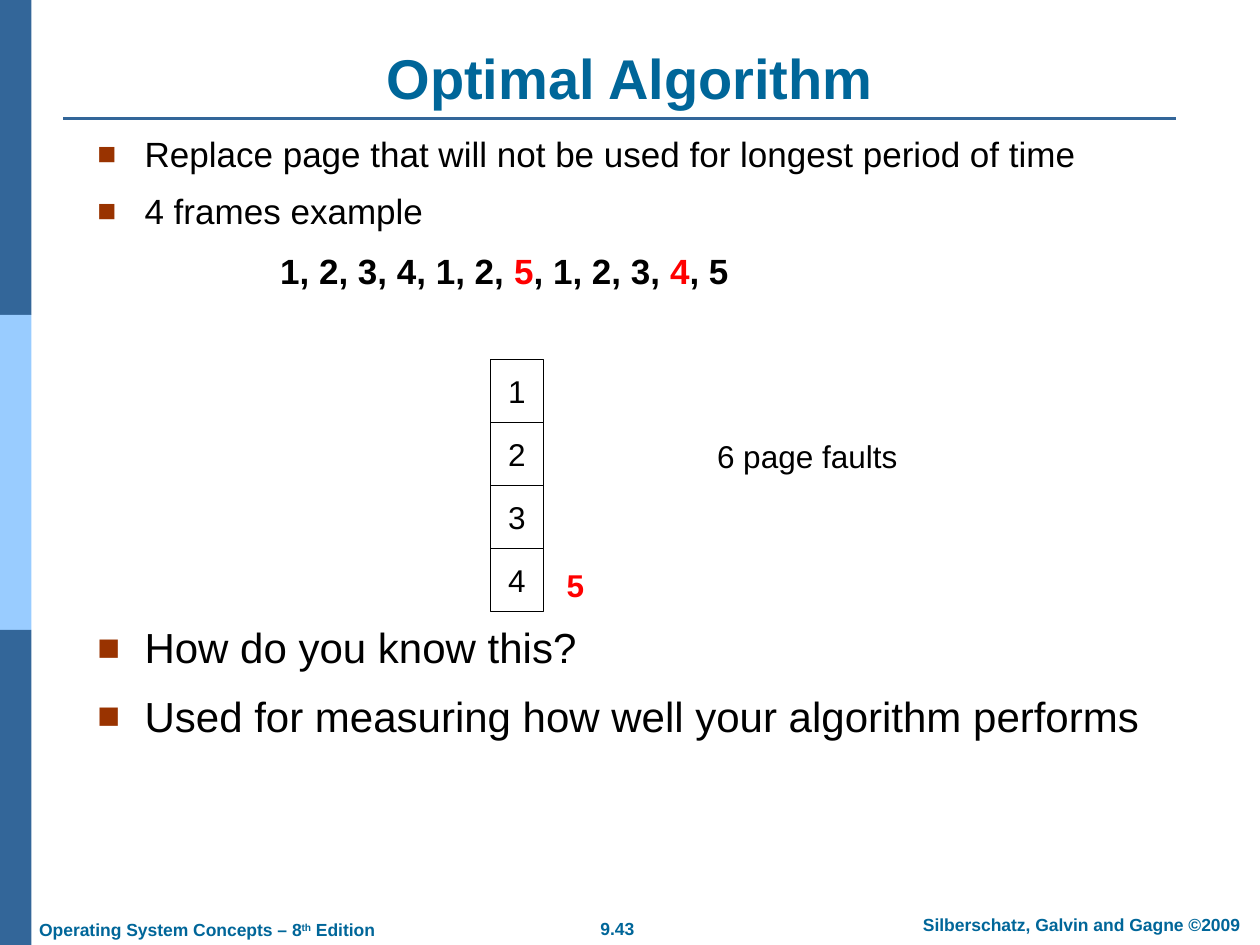
from dataclasses import dataclass
from typing import Any

from lxml.etree import SubElement
from pptx import Presentation
from pptx.dml.color import RGBColor
from pptx.enum.shapes import MSO_CONNECTOR, MSO_SHAPE
from pptx.enum.text import MSO_ANCHOR, MSO_AUTO_SIZE, PP_ALIGN
from pptx.oxml.ns import qn
from pptx.util import Pt


@dataclass(frozen=True)
class Theme:
    font: str = "Arial"
    heading: str = "006699"
    band: str = "336699"
    light_band: str = "99CCFF"
    bullet: str = "993300"
    ink: str = "000000"
    fault: str = "FF0000"
    paper: str = "FFFFFF"
    title_size: float = 32
    question_size: float = 24
    body_size: float = 20
    label_size: float = 18
    footer_size: float = 10


@dataclass(frozen=True)
class Box:
    left: float
    top: float
    width: float
    height: float

    def lengths(self) -> tuple:
        return Pt(self.left), Pt(self.top), Pt(self.width), Pt(self.height)


@dataclass(frozen=True)
class Span:
    text: str
    size: float
    color: str
    bold: bool = False
    raised: bool = False


@dataclass(frozen=True)
class Line:
    spans: tuple[Span, ...]
    before: float = 0
    bulleted: bool = True


@dataclass(frozen=True)
class Label:
    box: Box
    spans: tuple[Span, ...]
    align: PP_ALIGN = PP_ALIGN.CENTER
    anchor: MSO_ANCHOR = MSO_ANCHOR.TOP
    wrap: bool = False


THEME = Theme()
HANGING = 27
SEQUENCE_INDENT = 104.5


def apply(target: Any, values: dict[str, Any]) -> None:
    for name, value in values.items():
        setattr(target, name, value)


def write_spans(paragraph: Any, spans: tuple[Span, ...]) -> None:
    for span in spans:
        run = paragraph.add_run()
        run.text = span.text
        apply(run.font, {"name": THEME.font, "size": Pt(span.size), "bold": span.bold})
        run.font.color.rgb = RGBColor.from_string(span.color)
        if span.raised:
            run._r.get_or_add_rPr().set("baseline", "30000")


def add_bullet(paragraph: Any) -> None:
    properties = paragraph._p.get_or_add_pPr()
    color = SubElement(properties, qn("a:buClr"))
    SubElement(color, qn("a:srgbClr"), val=THEME.bullet)
    SubElement(properties, qn("a:buSzPct"), val="90000")
    SubElement(properties, qn("a:buFont"), typeface=THEME.font)
    SubElement(properties, qn("a:buChar"), char="■")


def indent(paragraph: Any, left: float, first: float) -> None:
    properties = paragraph._p.get_or_add_pPr()
    properties.set("marL", str(Pt(left)))
    properties.set("indent", str(Pt(first)))


def add_rectangle(slide: Any, box: Box, fill: str, outline: str | None = None) -> Any:
    rectangle = slide.shapes.add_shape(MSO_SHAPE.RECTANGLE, *box.lengths())
    rectangle.shadow.inherit = False
    rectangle.fill.solid()
    rectangle.fill.fore_color.rgb = RGBColor.from_string(fill)
    if outline:
        rectangle.line.color.rgb = RGBColor.from_string(outline)
        rectangle.line.width = Pt(0.75)
    else:
        rectangle.line.fill.background()
    return rectangle


def add_rule(slide: Any, left: float, right: float, y: float) -> None:
    rule = slide.shapes.add_connector(
        MSO_CONNECTOR.STRAIGHT, Pt(left), Pt(y), Pt(right), Pt(y))
    rule.line.color.rgb = RGBColor.from_string(THEME.band)
    rule.line.width = Pt(1.5)
    SubElement(rule._element.spPr, qn("a:effectLst"))


def fill_title(slide: Any, box: Box, text: str) -> None:
    title = slide.shapes.title
    apply(title, dict(zip(("left", "top", "width", "height"), box.lengths())))
    apply(title.text_frame, {
        "vertical_anchor": MSO_ANCHOR.BOTTOM, "word_wrap": True,
        "auto_size": MSO_AUTO_SIZE.NONE})
    paragraph = title.text_frame.paragraphs[0]
    paragraph.alignment = PP_ALIGN.CENTER
    write_spans(paragraph, (Span(text, THEME.title_size, THEME.heading, True),))


def add_label(slide: Any, label: Label) -> None:
    frame = slide.shapes.add_textbox(*label.box.lengths()).text_frame
    apply(frame, {"word_wrap": label.wrap, "vertical_anchor": label.anchor})
    frame.paragraphs[0].alignment = label.align
    write_spans(frame.paragraphs[0], label.spans)


def add_body(slide: Any, box: Box, lines: tuple[Line, ...]) -> None:
    frame = slide.shapes.add_textbox(*box.lengths()).text_frame
    frame.word_wrap = True
    for index, line in enumerate(lines):
        paragraph = frame.add_paragraph() if index else frame.paragraphs[0]
        if line.bulleted:
            add_bullet(paragraph)
            indent(paragraph, HANGING, -HANGING)
        else:
            indent(paragraph, SEQUENCE_INDENT, 0)
        if line.before:
            paragraph.space_before = Pt(line.before)
        write_spans(paragraph, line.spans)


def add_frame(slide: Any, box: Box, page: str) -> None:
    frame = add_rectangle(slide, box, THEME.paper, THEME.ink).text_frame
    apply(frame, {"word_wrap": False, "vertical_anchor": MSO_ANCHOR.MIDDLE})
    frame.paragraphs[0].alignment = PP_ALIGN.CENTER
    write_spans(frame.paragraphs[0], (Span(page, THEME.label_size, THEME.ink),))


def body_span(text: str, size: float = THEME.body_size) -> Span:
    return Span(text, size, THEME.ink)


def reference(text: str, color: str = THEME.ink) -> Span:
    return Span(text, THEME.body_size, color, True)


def footer(text: str, raised: bool = False) -> Span:
    return Span(text, THEME.footer_size, THEME.heading, True, raised)


BODY = (
    Line((body_span("Replace page that will not be used for longest period of time"),)),
    Line((body_span("4 frames example"),), 8.75),
    Line((reference("1, 2, 3, 4, 1, 2, "), reference("5", THEME.fault),
          reference(", 1, 2, 3, "), reference("4", THEME.fault),
          reference(", 5")), 10.5, False),
    Line((body_span("How do you know this?", THEME.question_size),), 188.5),
    Line((body_span("Used for measuring how well your algorithm performs",
                    THEME.question_size),), 10.5),
)
LABELS = (
    Label(Box(317.5, 521, 70.5, 19), (footer("9.43"),)),
    Label(Box(511, 519, 214, 19),
          (footer("Silberschatz, Galvin and Gagne ©2009"),), wrap=True),
    Label(Box(15.25, 521.5, 220, 18.5),
          (footer("Operating System Concepts – 8"), footer("th", True),
           footer(" Edition")), PP_ALIGN.LEFT, wrap=True),
    Label(Box(402.5, 246, 117.5, 29),
          (Span("6 page faults", THEME.label_size, THEME.ink),),
          anchor=MSO_ANCHOR.MIDDLE, wrap=True),
    Label(Box(316.5, 319.5, 24.5, 29),
          (Span("5", THEME.label_size, THEME.fault, True),),
          anchor=MSO_ANCHOR.MIDDLE),
)


def main() -> None:
    presentation = Presentation()
    apply(presentation, {"slide_width": Pt(720), "slide_height": Pt(540)})
    slide = presentation.slides.add_slide(presentation.slide_layouts[5])
    for row, color in enumerate((THEME.band, THEME.light_band, THEME.band)):
        add_rectangle(slide, Box(0, row * 180, 18, 180), color)
    add_rule(slide, 36, 672, 67.75)
    fill_title(slide, Box(36, 21.5, 648, 45.5), "Optimal Algorithm")
    add_body(slide, Box(48.5, 72, 663, 381.5), BODY)
    for row, page in enumerate("1234"):
        add_frame(slide, Box(280.25, 205.5 + row * 36, 30.25, 36), page)
    for label in LABELS:
        add_label(slide, label)
    presentation.save("out.pptx")


if __name__ == "__main__":
    main()
